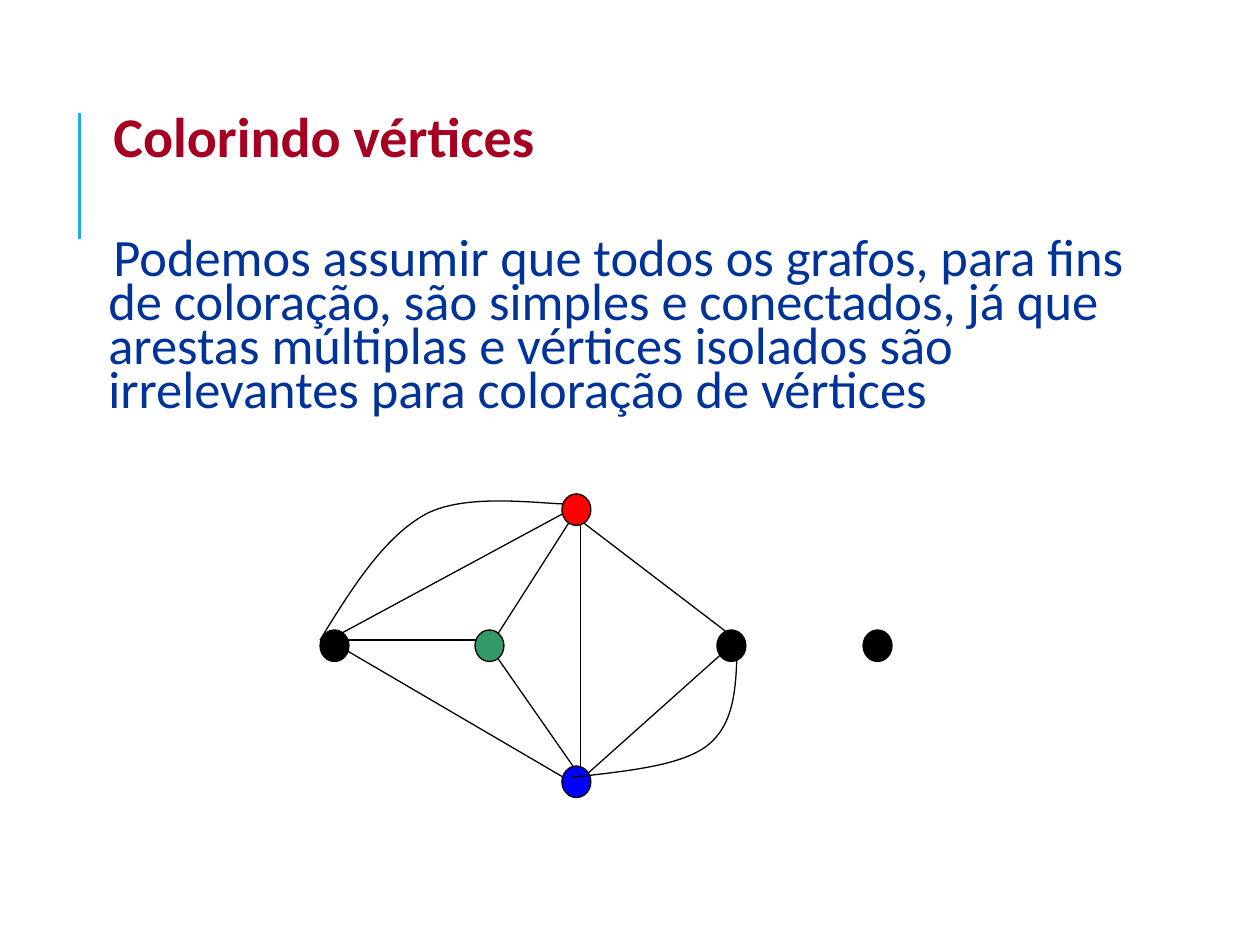
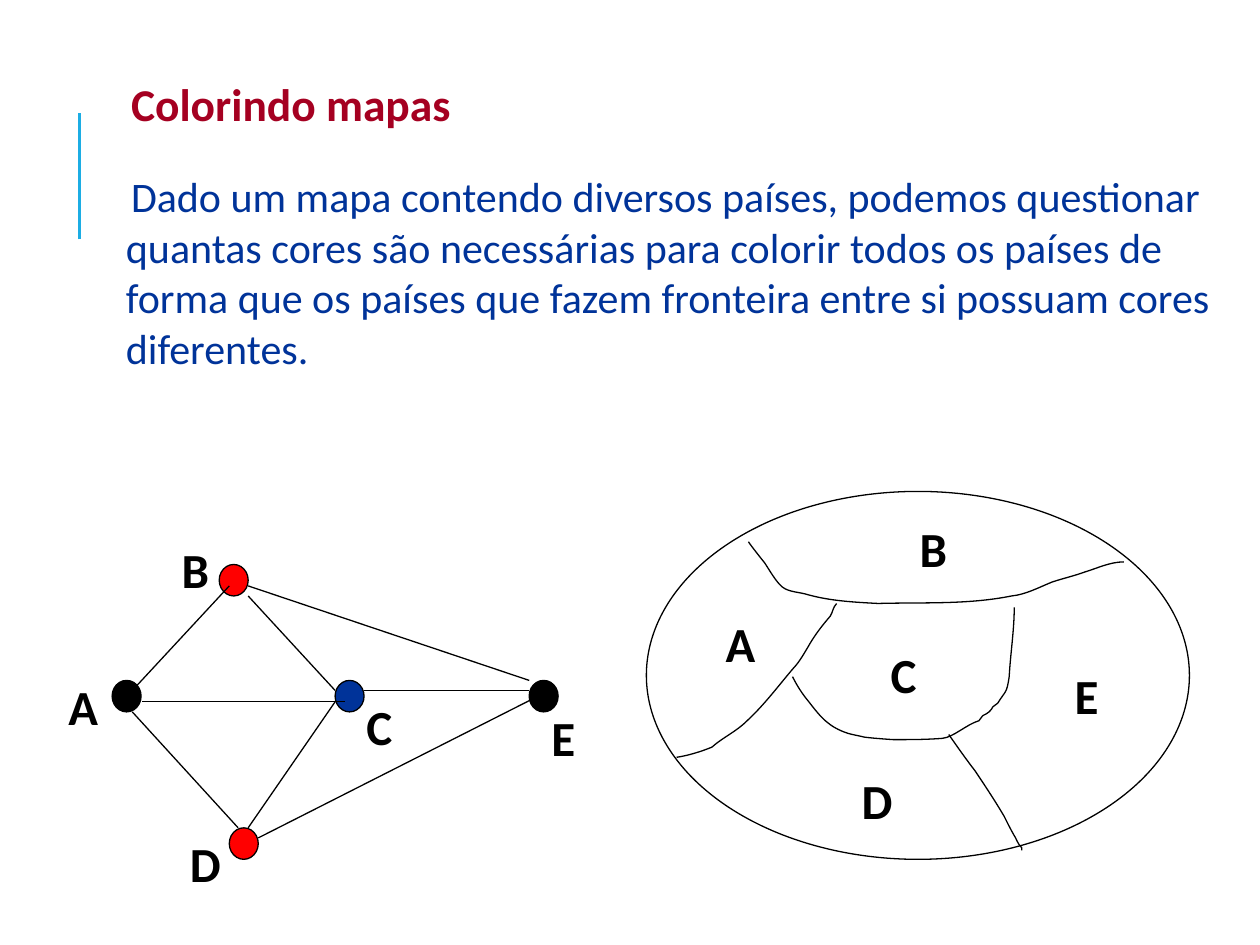
from lxml.etree import SubElement
from pptx import Presentation
from pptx.dml.color import RGBColor
from pptx.enum.shapes import MSO_CONNECTOR, MSO_SHAPE
from pptx.enum.text import MSO_ANCHOR, PP_ALIGN
from pptx.oxml.ns import qn
from pptx.util import Inches, Pt

FONT = "Calibri"
BLACK, WHITE, RED = "000000", "FFFFFF", "FF0000"
BLUE, GREEN = "0000FF", "339966"
TITLE, BODY, ACCENT = "A50021", "003399", "1CADE4"
NODE_SIZE = (0.23, 0.25)
LABEL_HEIGHT = 0.57


def color(value):
    return RGBColor.from_string(value)


def write(para, text, size, ink=BLACK, bold=False, align=PP_ALIGN.LEFT, spacing=None,
          before=0, after=0, margin=0, indent=0):
    para.alignment = align
    para.space_before, para.space_after = Pt(before), Pt(after)
    if spacing:
        para.line_spacing = spacing
    if margin:
        properties = para._p.get_or_add_pPr()
        properties.set("marL", str(Inches(margin)))
        properties.set("indent", str(Inches(indent)))
    span = para.add_run()
    span.text = text
    span.font.name, span.font.size, span.font.bold = FONT, Pt(size), bold
    span.font.color.rgb = color(ink)


def bend(shape):
    outline = next(shape._element.iter(qn("a:path")))
    lines = outline.findall(qn("a:lnTo"))
    for first in range(0, len(lines), 3):
        bezier = SubElement(outline, qn("a:cubicBezTo"))
        for line in lines[first:first + 3]:
            bezier.append(line[0])
            outline.remove(line)


class SlideMaker:
    def __init__(self, deck):
        self.deck = deck
        self.page = None

    def new_page(self):
        self.page = self.deck.slides.add_slide(self.deck.slide_layouts[6])
        self.line((0.63, 1.9), (0.63, 0.9), ACCENT, 1.5)

    def line(self, start, end, ink=BLACK, width=0.75):
        edge = self.page.shapes.add_connector(
            MSO_CONNECTOR.STRAIGHT, *map(Inches, (*start, *end)))
        edge.line.color.rgb, edge.line.width = color(ink), Pt(width)
        SubElement(edge._element.spPr, qn("a:effectLst"))

    def outline(self, shape):
        shape.shadow.inherit = False
        shape.line.color.rgb, shape.line.width = color(BLACK), Pt(0.75)

    def oval(self, left, top, width, height, fill, kind=MSO_SHAPE.OVAL):
        shape = self.page.shapes.add_shape(kind, *map(Inches, (left, top, width, height)))
        shape.fill.solid()
        shape.fill.fore_color.rgb = color(fill)
        self.outline(shape)

    def node(self, left, top, fill, kind=MSO_SHAPE.OVAL):
        self.oval(left, top, *NODE_SIZE, fill, kind)

    def curve(self, start, segments):
        builder = self.page.shapes.build_freeform(*map(Inches, start))
        points = [(Inches(segment[i]), Inches(segment[i + 1]))
                  for segment in segments for i in (0, 2, 4)]
        builder.add_line_segments(points, close=False)
        shape = builder.convert_to_shape()
        bend(shape)
        shape.fill.background()
        self.outline(shape)

    def text_frame(self, left, top, width, height, inset, wrap):
        box = self.page.shapes.add_textbox(*map(Inches, (left, top, width, height)))
        frame = box.text_frame
        frame.word_wrap = wrap
        frame.vertical_anchor = MSO_ANCHOR.TOP
        frame.margin_left = frame.margin_right = Inches(inset)
        frame.margin_top = frame.margin_bottom = Inches(0.05)
        return frame

    def content(self, place, title, body, title_size, body_size, body_spacing, gap,
                margin, after=0):
        frame = self.text_frame(*place, inset=0.05, wrap=True)
        shared = dict(margin=margin, indent=0.04, after=after)
        write(frame.paragraphs[0], title, title_size, TITLE, bold=True, spacing=0.7,
              before=12, **shared)
        write(frame.add_paragraph(), body, body_size, BODY, spacing=body_spacing,
              before=gap, **shared)

    def label(self, text, left, top, width):
        frame = self.text_frame(left, top, width, LABEL_HEIGHT, inset=0.1, wrap=False)
        write(frame.paragraphs[0], text, 28, bold=True, align=PP_ALIGN.CENTER, before=17.5)


def build_vertices(maker):
    maker.new_page()
    maker.content(
        (0.71, 0.9, 8.58, 2.77), "Colorindo vértices",
        "Podemos assumir que todos os grafos, para fins de coloração, são simples e "
        "conectados, já que arestas múltiplas e vértices isolados são irrelevantes "
        "para coloração de vértices",
        title_size=32, body_size=30, body_spacing=0.7, gap=40.6, margin=0.1, after=2)
    circle = MSO_SHAPE.FLOWCHART_CONNECTOR
    maker.node(2.54, 5, BLACK, circle)
    left, top, bottom, right = (2.61, 5.08), (4.61, 4), (4.61, 6.25), (5.85, 5.08)
    edges = [
        (left, (3.85, 5.08)), (left, top), (left, bottom), ((3.92, 5.08), top),
        ((3.85, 5.08), (4.61, 6.17)), ((4.61, 6.17), (4.61, 4.08)),
        ((4.54, 4.08), right), ((4.54, 6.25), right),
    ]
    for start, end in edges:
        maker.line(start, end)
    for x, y, fill in [(3.77, 5, GREEN), (4.46, 6.08, BLUE), (5.69, 5, BLACK),
                       (6.85, 5, BLACK)]:
        maker.node(x, y, fill, circle)
    maker.curve((2.54, 5.08), [(2.79, 4.67, 3.05, 4.26, 3.38, 4.08),
                               (3.72, 3.9, 4.35, 4.01, 4.54, 4)])
    maker.curve((4.54, 6.17), [(4.97, 6.12, 5.4, 6.08, 5.61, 5.92),
                               (5.83, 5.75, 5.84, 5.46, 5.85, 5.17)])
    maker.node(4.46, 3.92, RED, circle)


def build_maps(maker):
    maker.new_page()
    maker.content(
        (0.75, 0.67, 9.1, 2.53), "Colorindo mapas",
        "Dado um mapa contendo diversos países, podemos questionar quantas cores são "
        "necessárias para colorir todos os países de forma que os países que fazem "
        "fronteira entre si possuam cores diferentes.",
        title_size=26, body_size=24, body_spacing=1.0, gap=24, margin=0.2)
    maker.oval(5.13, 3.9, 4.31, 2.92, WHITE)
    borders = [
        ((5.94, 4.3), [
            (5.95, 4.32, 6.07, 4.47, 6.07, 4.47), (6.11, 4.53, 6.16, 4.62, 6.21, 4.66),
            (6.26, 4.7, 6.35, 4.7, 6.41, 4.72), (6.59, 4.77, 6.78, 4.78, 6.97, 4.79),
            (7.34, 4.78, 7.68, 4.8, 8.03, 4.73), (8.14, 4.72, 8.25, 4.66, 8.35, 4.62),
            (8.44, 4.59, 8.53, 4.57, 8.61, 4.54), (8.71, 4.51, 8.81, 4.46, 8.92, 4.46)]),
        ((5.37, 6.01), [
            (5.44, 6, 5.51, 5.98, 5.57, 5.96), (5.6, 5.95, 5.65, 5.93, 5.65, 5.93),
            (5.74, 5.85, 5.84, 5.81, 5.93, 5.72), (6.07, 5.59, 6.18, 5.44, 6.3, 5.3),
            (6.34, 5.26, 6.38, 5.19, 6.41, 5.14), (6.46, 5.05, 6.52, 4.97, 6.59, 4.89),
            (6.61, 4.86, 6.61, 4.82, 6.64, 4.79)]),
        ((6.29, 5.37), [
            (6.33, 5.45, 6.37, 5.51, 6.42, 5.57), (6.52, 5.7, 6.58, 5.77, 6.73, 5.82),
            (6.76, 5.83, 6.82, 5.84, 6.86, 5.85), (6.93, 5.86, 7.09, 5.87, 7.09, 5.87),
            (7.22, 5.87, 7.35, 5.87, 7.48, 5.86), (7.57, 5.85, 7.67, 5.75, 7.77, 5.72),
            (7.78, 5.71, 7.79, 5.69, 7.8, 5.68), (7.82, 5.67, 7.84, 5.66, 7.85, 5.65),
            (7.87, 5.64, 7.87, 5.62, 7.88, 5.61), (7.89, 5.6, 7.91, 5.59, 7.92, 5.58),
            (7.98, 5.48, 7.99, 5.51, 8.01, 5.37), (8.02, 5.19, 8.05, 5, 8.05, 4.82)]),
        ((7.53, 5.83), [
            (7.6, 5.93, 7.67, 6.03, 7.74, 6.12), (7.82, 6.24, 7.9, 6.36, 7.97, 6.48),
            (8, 6.54, 8.03, 6.6, 8.06, 6.65), (8.11, 6.76, 8.11, 6.7, 8.11, 6.75)]),
    ]
    for start, segments in borders:
        maker.curve(start, segments)
    country_labels = [("C", 6.97, 5.07, 0.39), ("A", 5.66, 4.82, 0.38),
                      ("B", 7.2, 4.07, 0.38), ("E", 8.43, 5.23, 0.38),
                      ("D", 6.74, 6.07, 0.39)]
    for label in country_labels:
        maker.label(*label)
    for x, y, fill in [(1.74, 4.48, RED), (0.89, 5.4, BLACK), (2.66, 5.4, BODY),
                       (4.2, 5.4, BLACK), (1.82, 6.57, RED)]:
        maker.node(x, y, fill)
    edges = [
        ((1.05, 5.48), (1.82, 4.65)), ((1.97, 4.73), (2.66, 5.48)),
        ((1.97, 6.57), (2.66, 5.57)), ((1.05, 5.65), (1.89, 6.57)),
        ((2.89, 5.48), (4.2, 5.48)), ((2.05, 6.65), (4.36, 5.48)),
        ((1.97, 4.65), (4.2, 5.4)), ((1.13, 5.57), (2.74, 5.57)),
    ]
    for start, end in edges:
        maker.line(start, end)
    node_labels = [("C", 2.74, 5.48, 0.54), ("A", 0.43, 5.32, 0.46),
                   ("B", 1.28, 4.23, 0.54), ("D", 1.36, 6.57, 0.54),
                   ("E", 4.2, 5.57, 0.54)]
    for label in node_labels:
        maker.label(*label)


def main():
    deck = Presentation()
    deck.slide_width, deck.slide_height = Inches(10), Inches(7.5)
    maker = SlideMaker(deck)
    build_vertices(maker)
    build_maps(maker)
    deck.save("out.pptx")


if __name__ == "__main__":
    main()
